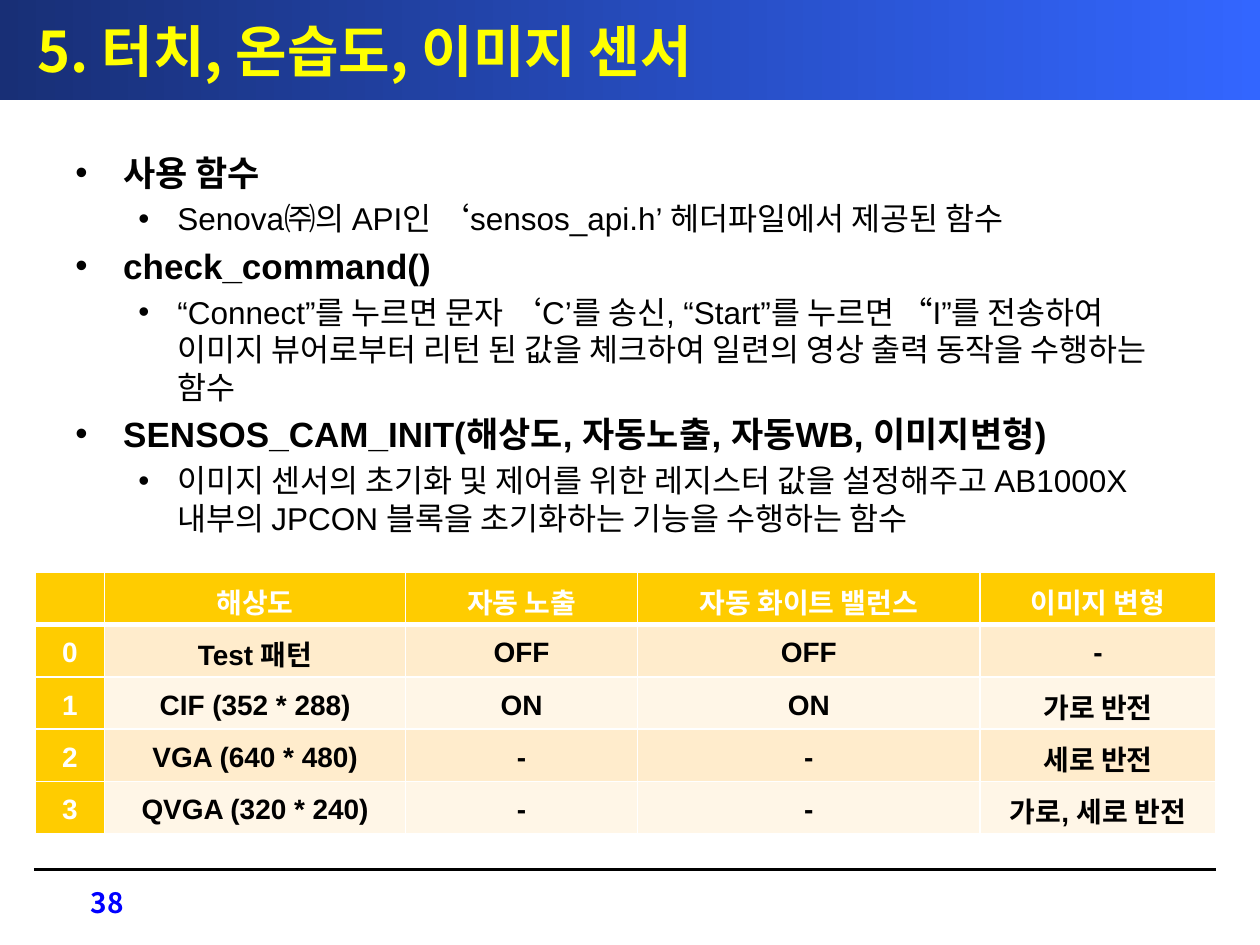
import pptx
import pptx.dml.color
import pptx.enum.shapes
import pptx.enum.text
import pptx.oxml.ns
import pptx.util
from lxml import etree

Inches = pptx.util.Inches
Pt = pptx.util.Pt
PP_ALIGN = pptx.enum.text.PP_ALIGN
MSO_ANCHOR = pptx.enum.text.MSO_ANCHOR
KOREAN_FONT = "Noto Sans CJK KR"


def color(hex_value):
    return pptx.dml.color.RGBColor.from_string(hex_value)


def add_xml(parent, tag, **attributes):
    return etree.SubElement(parent, pptx.oxml.ns.qn(tag), attributes)


def write(paragraph, text, size=16, font="Arial", ink="000000", bold=True,
          align=PP_ALIGN.LEFT, line_spacing=None, space_before=0):
    paragraph.alignment = align
    paragraph.space_before = Pt(space_before)
    if line_spacing:
        paragraph.line_spacing = line_spacing
    run = paragraph.add_run()
    run.text = text
    run.font.size = Pt(size)
    run.font.bold = bold
    run.font.color.rgb = color(ink)
    run.font.name = font
    add_xml(run.font._element, "a:ea", typeface=KOREAN_FONT)


class SlideBuilder:
    gold = "FFCC00"
    bands = ("FFECCC", "FFF6E7")
    white = "FFFFFF"

    def __init__(self, slide):
        self.slide = slide

    def title_bar(self, text):
        bar = self.slide.shapes.add_shape(
            pptx.enum.shapes.MSO_SHAPE.RECTANGLE, 0, 0, Inches(10), Inches(0.79))
        bar.shadow.inherit = False
        bar.line.fill.background()
        bar.fill.gradient()
        bar.fill.gradient_angle = 0
        for stop, position, shade in zip(bar.fill.gradient_stops, (0, 1), ("182F76", "3366FF")):
            stop.position = position
            stop.color.rgb = color(shade)
        frame = bar.text_frame
        frame.margin_left = Inches(0.3)
        frame.vertical_anchor = MSO_ANCHOR.MIDDLE
        write(frame.paragraphs[0], text, size=32, font=KOREAN_FONT, ink="FFFF00")

    def text_frame(self, left, top, width, height):
        box = self.slide.shapes.add_textbox(
            Inches(left), Inches(top), Inches(width), Inches(height))
        box.text_frame.word_wrap = True
        return box.text_frame

    def bullet(self, paragraph, text, level):
        size, margin, hanging = ((20, 0.38, 0.38), (18, 0.81, 0.31))[level]
        paragraph.level = level
        write(paragraph, text, size=size, bold=level == 0, space_before=size * 0.2)
        properties = paragraph._p.get_or_add_pPr()
        properties.set("marL", str(Inches(margin)))
        properties.set("indent", str(-Inches(hanging)))
        add_xml(properties, "a:buFont", typeface="Arial")
        add_xml(properties, "a:buChar", char="•")

    def functions(self, descriptions):
        frame = self.text_frame(0.5, 1.15, 9, 5.55)
        lines = [(text, level) for pair in descriptions for level, text in enumerate(pair)]
        for index, (text, level) in enumerate(lines):
            paragraph = frame.add_paragraph() if index else frame.paragraphs[0]
            self.bullet(paragraph, text, level)

    def cell_borders(self, cell, row):
        properties = cell._tc.get_or_add_tcPr()
        weights = {"L": 1, "R": 1, "T": 3 if row == 1 else 1, "B": 3 if row == 0 else 1}
        for side, weight in weights.items():
            border = add_xml(properties, f"a:ln{side}", w=str(Pt(weight)))
            add_xml(add_xml(border, "a:solidFill"), "a:srgbClr", val=self.white)

    def settings_table(self, rows, widths):
        table = self.slide.shapes.add_table(
            len(rows), len(widths), Inches(0.28), Inches(4.54),
            Inches(sum(widths)), Inches(2.08)).table
        for column, width in zip(table.columns, widths):
            column.width = Inches(width)
        for row, values in enumerate(rows):
            for column, value in enumerate(values):
                cell = table.cell(row, column)
                heading = row == 0 or column == 0
                self.cell_borders(cell, row)
                cell.fill.solid()
                cell.fill.fore_color.rgb = color(self.gold if heading else self.bands[(row - 1) % 2])
                cell.margin_left = cell.margin_right = Inches(0.07)
                cell.margin_top = cell.margin_bottom = 0
                cell.vertical_anchor = MSO_ANCHOR.MIDDLE
                if value:
                    write(cell.text_frame.paragraphs[0], value,
                          ink=self.white if heading else "000000",
                          align=PP_ALIGN.CENTER, line_spacing=1.15)

    def footer_rule(self):
        rule = self.slide.shapes.add_connector(
            pptx.enum.shapes.MSO_CONNECTOR.STRAIGHT,
            Inches(0.27), Inches(6.9), Inches(9.65), Inches(6.9))
        rule.line.color.rgb = color("000000")
        rule.line.width = Pt(1.5)
        add_xml(rule._element.spPr, "a:effectLst")

    def page_number(self, number):
        frame = self.text_frame(0.51, 6.98, 0.57, 0.42)
        write(frame.paragraphs[0], number, font=KOREAN_FONT, ink="0000FF", align=PP_ALIGN.RIGHT)


def main():
    presentation = pptx.Presentation()
    presentation.slide_width = Inches(10)
    presentation.slide_height = Inches(7.5)
    builder = SlideBuilder(presentation.slides.add_slide(presentation.slide_layouts[6]))

    builder.footer_rule()
    builder.title_bar("5. 터치, 온습도, 이미지 센서")
    builder.functions([
        ("사용 함수",
         "Senova㈜의 API인 ‘sensos_api.h’ 헤더파일에서 제공된 함수"),
        ("check_command()",
         "“Connect”를 누르면 문자 ‘C’를 송신, “Start”를 누르면 “I”를 전송하여 "
         "이미지 뷰어로부터 리턴 된 값을 체크하여 일련의 영상 출력 동작을 수행하는 함수"),
        ("SENSOS_CAM_INIT(해상도, 자동노출, 자동WB, 이미지변형)",
         "이미지 센서의 초기화 및 제어를 위한 레지스터 값을 설정해주고 AB1000X "
         "내부의 JPCON 블록을 초기화하는 기능을 수행하는 함수"),
    ])
    builder.page_number("38")
    builder.settings_table([
        ("", "해상도", "자동 노출", "자동 화이트 밸런스", "이미지 변형"),
        ("0", "Test 패턴", "OFF", "OFF", "-"),
        ("1", "CIF (352 * 288)", "ON", "ON", "가로 반전"),
        ("2", "VGA (640 * 480)", "-", "-", "세로 반전"),
        ("3", "QVGA (320 * 240)", "-", "-", "가로, 세로 반전"),
    ], widths=(0.55, 2.39, 1.84, 2.72, 1.87))

    presentation.save("out.pptx")


if __name__ == "__main__":
    main()
